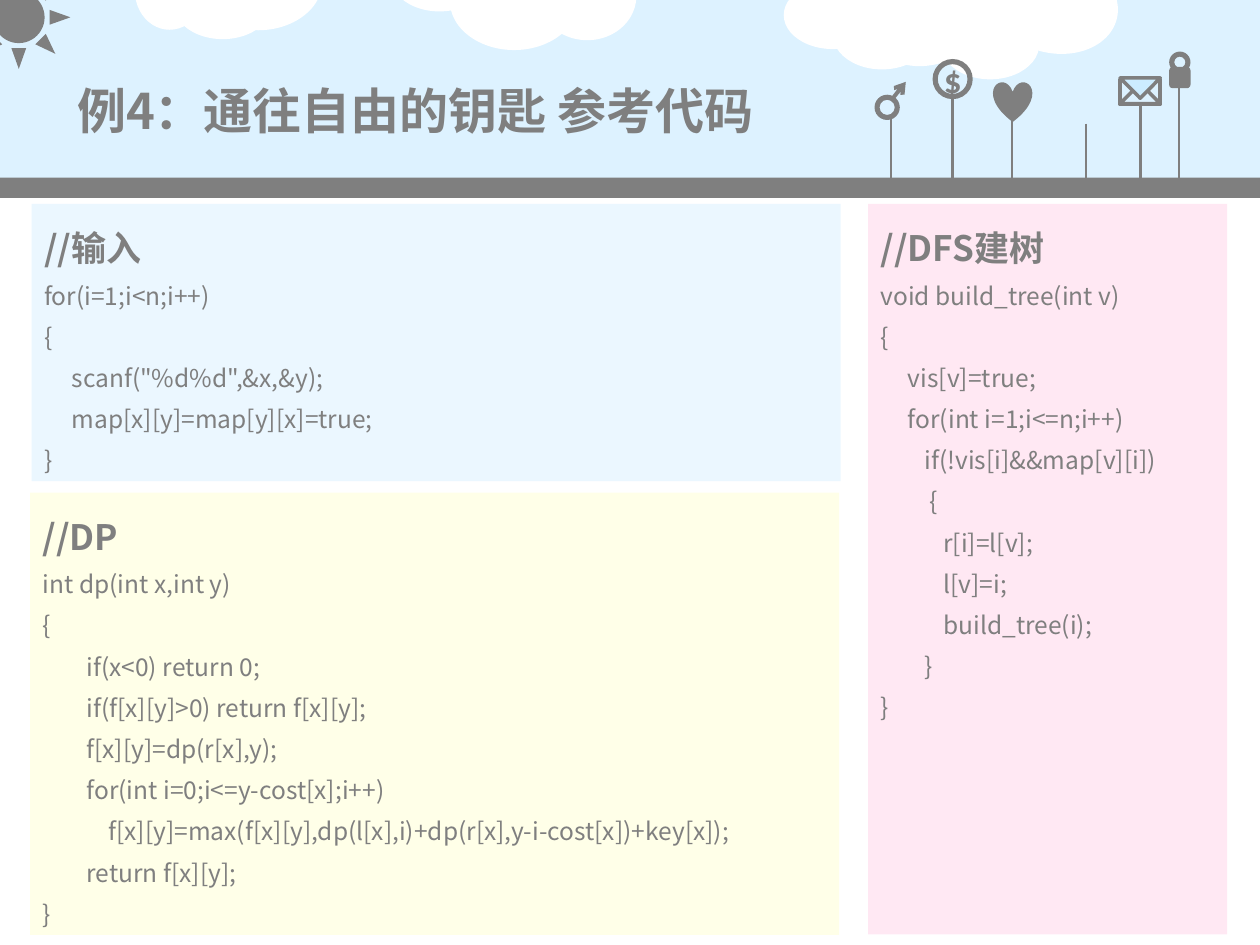
"""Build the code slide with a sky header and three code panels."""
from lxml.etree import SubElement
from pptx import Presentation
from pptx.dml.color import RGBColor
from pptx.enum.shapes import MSO_CONNECTOR, MSO_SHAPE
from pptx.enum.text import MSO_ANCHOR, MSO_AUTO_SIZE, PP_ALIGN
from pptx.oxml.ns import qn
from pptx.util import Cm, Pt

GRAY = RGBColor(0x7F, 0x7F, 0x7F)
SKY = RGBColor(0xDD, 0xF2, 0xFF)
WHITE = RGBColor(0xFF, 0xFF, 0xFF)
FLAP = RGBColor(0xCC, 0xEC, 0xFF)
BLUE = RGBColor(0xA7, 0xDD, 0xFF)
YELLOW = RGBColor(0xFF, 0xFF, 0x99)
PINK = RGBColor(0xFF, 0x99, 0xCC)
TEXT_FONT = "Noto Sans CJK SC"

deck = Presentation()
deck.slide_width, deck.slide_height = Cm(25.4), Cm(19.05)
slide = deck.slides.add_slide(deck.slide_layouts[5])
shapes = slide.shapes


def draw(kind, box, fill=None, outline=None, rotation=0):
    shape = shapes.add_shape(kind, *[Cm(length) for length in box])
    shape.shadow.inherit = False
    shape.rotation = rotation
    if fill is None:
        shape.fill.background()
    else:
        shape.fill.solid()
        shape.fill.fore_color.rgb = fill
    if outline is None:
        shape.line.fill.background()
    else:
        shape.line.color.rgb = outline
        shape.line.width = Pt(2)
    return shape


def write(paragraph, text, size, bold, name=TEXT_FONT):
    run = paragraph.add_run()
    run.text = text
    for key, value in {"size": Pt(size), "bold": bold, "name": name}.items():
        setattr(run.font, key, value)
    run.font.color.rgb = GRAY
    SubElement(run._r.get_or_add_rPr(), qn("a:ea"), typeface=name)


draw(MSO_SHAPE.RECTANGLE, (0, 0, 25.4, 3.76), SKY)
clouds = [
    (2.72, -0.97, 1.4, 1.57, 0),
    (3.51, -0.58, 1.96, 1.37, 0),
    (3.91, -1.37, 2.59, 1.98, 0),
    (7.87, -1.17, 1.98, 1.4, 0),
    (9.07, -0.97, 2.59, 1.98, 0),
    (10.85, -0.97, 1.98, 1.78, 0),
    (16.79, 0, 1.98, 1.4, 0),
    (19.96, -0.91, 2.59, 1.98, 12.7),
    (17.5, -0.71, 2.59, 1.98, 334.2),
    (18.97, 0.2, 1.98, 1.4, 0),
    (15.8, -0.38, 1.98, 1.37, 0),
    (16.59, -0.97, 2.59, 1.98, 12.7),
]
for *box, tilt in clouds:
    draw(MSO_SHAPE.OVAL, box, WHITE, rotation=tilt)
draw(MSO_SHAPE.RECTANGLE, (0, 3.58, 25.4, 0.41), GRAY)
draw(MSO_SHAPE.SUN, (-0.66, -0.69, 2.08, 2.08), GRAY)

rings = []
for left, top, size, thickness in [
    (17.63, 1.91, 0.51, 0.2),
    (18.8, 1.19, 0.81, 0.13),
    (23.57, 1.04, 0.43, 0.24),
]:
    ring = draw(MSO_SHAPE.DONUT, (left, top, size, size), GRAY)
    ring.adjustments[0] = thickness
    rings.append(ring)

coin = rings[1].text_frame
for key, value in {
    "margin_left": 0, "margin_right": 0, "margin_top": 0, "margin_bottom": 0,
    "word_wrap": False, "vertical_anchor": MSO_ANCHOR.MIDDLE,
}.items():
    setattr(coin, key, value)
coin.paragraphs[0].alignment = PP_ALIGN.CENTER
write(coin.paragraphs[0], "$", 20, True, "Calibri")

draw(MSO_SHAPE.HEART, (20.02, 1.65, 0.79, 0.81), GRAY)
draw(MSO_SHAPE.RECTANGLE, (22.58, 1.6, 0.81, 0.51), outline=GRAY)
draw(MSO_SHAPE.ISOSCELES_TRIANGLE, (22.58, 1.68, 0.81, 0.41), outline=GRAY)
draw(MSO_SHAPE.ISOSCELES_TRIANGLE, (22.58, 1.57, 0.81, 0.41), FLAP, GRAY, 180)
draw(MSO_SHAPE.FLOWCHART_ALTERNATE_PROCESS, (23.57, 1.35, 0.43, 0.43), GRAY)

poles = [(17.96, 2.36), (19.2, 1.98), (20.4, 1.85), (21.89, 2.49), (22.99, 2.08), (23.77, 1.6)]
strokes = [(x, top, x, 3.76, 1.5) for x, top in poles]
strokes.append((17.96, 2.03, 18.26, 1.65, 2.25))
for *ends, width in strokes:
    stroke = shapes.add_connector(MSO_CONNECTOR.STRAIGHT, *[Cm(end) for end in ends])
    stroke.line.color.rgb = GRAY
    stroke.line.width = Pt(width)
    SubElement(stroke.element.spPr, qn("a:effectLst"))
SubElement(stroke.line._get_or_add_ln(), qn("a:tailEnd"), type="arrow")

title = shapes.title
title.element.getparent().append(title.element)
for key, value in {
    "left": Cm(1.3), "top": Cm(1.12), "width": Cm(22.86), "height": Cm(2.21),
}.items():
    setattr(title, key, value)
title.text_frame.auto_size = MSO_AUTO_SIZE.NONE
title.text_frame.vertical_anchor = MSO_ANCHOR.MIDDLE
heading = title.text_frame.paragraphs[0]
heading.alignment = PP_ALIGN.LEFT
write(heading, "例4：通往自由的钥匙 参考代码", 28, True)

input_code = """//输入
for(i=1;i<n;i++)
{
     scanf("%d%d",&x,&y);
     map[x][y]=map[y][x]=true;
}"""
dp_code = """//DP
int dp(int x,int y)
{
        if(x<0) return 0;
        if(f[x][y]>0) return f[x][y];
        f[x][y]=dp(r[x],y);
        for(int i=0;i<=y-cost[x];i++)
            f[x][y]=max(f[x][y],dp(l[x],i)+dp(r[x],y-i-cost[x])+key[x]);
        return f[x][y];
}"""
dfs_code = """//DFS建树
void build_tree(int v)
{
     vis[v]=true;
     for(int i=1;i<=n;i++)
        if(!vis[i]&&map[v][i])
         {
\tr[i]=l[v];
\tl[v]=i;
\tbuild_tree(i);
        }
}"""
for box, tint, code in [
    ((0.64, 4.11, 16.31, 5.59), BLUE, input_code),
    ((0.61, 9.93, 16.31, 8.92), YELLOW, dp_code),
    ((17.5, 4.11, 7.24, 14.73), PINK, dfs_code),
]:
    panel = draw(MSO_SHAPE.RECTANGLE, box, tint)
    color = panel.element.spPr.find(qn("a:solidFill")).find(qn("a:srgbClr"))
    SubElement(color, qn("a:alpha"), val="22000")
    frame = panel.text_frame
    frame.word_wrap = True
    frame.vertical_anchor = MSO_ANCHOR.TOP
    for index, line in enumerate(code.splitlines()):
        paragraph = frame.add_paragraph() if index else frame.paragraphs[0]
        paragraph.alignment = PP_ALIGN.LEFT
        paragraph.line_spacing = 1.4
        write(paragraph, line, 14 if index else 20, index == 0)

deck.save("out.pptx")
